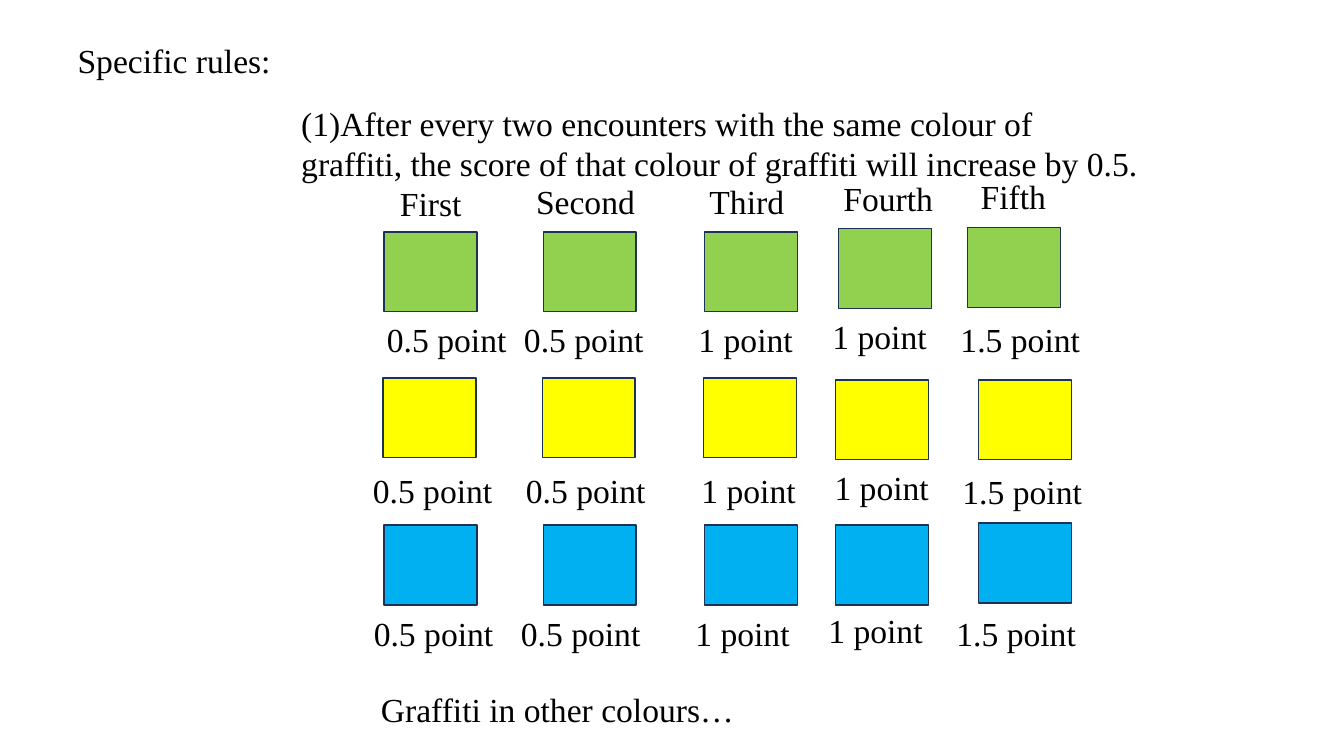
from pptx import Presentation
from pptx.dml.color import RGBColor
from pptx.enum.shapes import MSO_SHAPE
from pptx.enum.text import MSO_ANCHOR, MSO_AUTO_SIZE, PP_ALIGN
from pptx.util import Pt

RECT = MSO_SHAPE.RECTANGLE
TOP = MSO_ANCHOR.TOP
GROW = MSO_AUTO_SIZE.SHAPE_TO_FIT_TEXT
LEFT = PP_ALIGN.LEFT

HUES = {"green": "92D050", "yellow": "FFFF00", "blue": "00B0F0",
        "edge": "1E3256", "ink": "000000"}
FONT = {"name": "Times New Roman", "size": Pt(24), "bold": False}
FRAME = {"auto_size": GROW, "vertical_anchor": TOP}


def place(shape, x, y, w, h):
    for key, val in {"left": x, "top": y, "width": w, "height": h}.items():
        setattr(shape, key, Pt(val))


def write(text, x, y, w, h=36, wrap=False, box=None):
    """Fill the given box, or a new text box, with one left-aligned paragraph."""
    box = box or slide.shapes.add_textbox(0, 0, 0, 0)
    frame = box.text_frame
    frame.text = text
    frame.word_wrap = wrap
    for key, val in FRAME.items():
        setattr(frame, key, val)
    para = frame.paragraphs[0]
    para.alignment = LEFT
    font = para.runs[0].font
    for key, val in FONT.items():
        setattr(font, key, val)
    font.color.rgb = RGBColor.from_string(HUES["ink"])
    place(box, x, y, w, h)


prs = Presentation()
prs.slide_width, prs.slide_height = Pt(960), Pt(540)
slide = prs.slides.add_slide(prs.slide_layouts[5])

write("Specific rules:", 48.2, 25.2, 153.4, box=slide.shapes.title)
write("(1)After every two encounters with the same colour of graffiti, "
      "the score of that colour of graffiti will increase by 0.5.",
      208.1, 69.8, 612, 65.5, wrap=True)

heads = [("First", 278.6, 127.4, 64.8), ("Second", 375.8, 126, 92.2),
         ("Third", 499.7, 126, 74.2), ("Fourth", 595.4, 123.8, 85),
         ("Fifth", 693.4, 122.4, 67.7)]
for head in heads:
    write(*head)

# Score text, box width and drop from the row's label line, by column
scores = [("0.5 point", 106.6, 0), ("0.5 point", 106.6, 0),
          ("1 point", 82.8, 0), ("1 point", 82.8, -1.7),
          ("1.5 point", 100.8, 0.5)]

# Hue, square lefts, square tops, label lefts, label line
rows = [
    ("green", (274.3, 388.1, 503.3, 599, 691.2),
     (165.6, 165.6, 165.6, 163.4, 162.7),
     (269.3, 367.2, 491.8, 587.5, 679), 224),
    ("yellow", (273.6, 387.4, 502.6, 596.9, 699.1),
     (270, 270, 270, 271.4, 271.4),
     (259.2, 368.6, 493.9, 589, 680.4), 332),
    ("blue", (274.3, 388.1, 503.3, 596.9, 699.1),
     (375.1, 375.1, 375.1, 375.1, 373.7),
     (259.9, 365, 489.6, 584.6, 676.1), 434),
]
for hue, lefts, tops, marks, line in rows:
    for left, top, mark, (score, width, drop) in zip(lefts, tops, marks, scores):
        square = slide.shapes.add_shape(RECT, 0, 0, 0, 0)
        place(square, left, top, 66.3, 57)
        square.shadow.inherit = False
        square.fill.solid()
        square.fill.fore_color.rgb = RGBColor.from_string(HUES[hue])
        square.line.color.rgb = RGBColor.from_string(HUES["edge"])
        square.line.width = Pt(1)
        write(score, mark, line + drop, width)

write("Graffiti in other colours…", 265, 488.2, 269.3)

prs.save("out.pptx")
